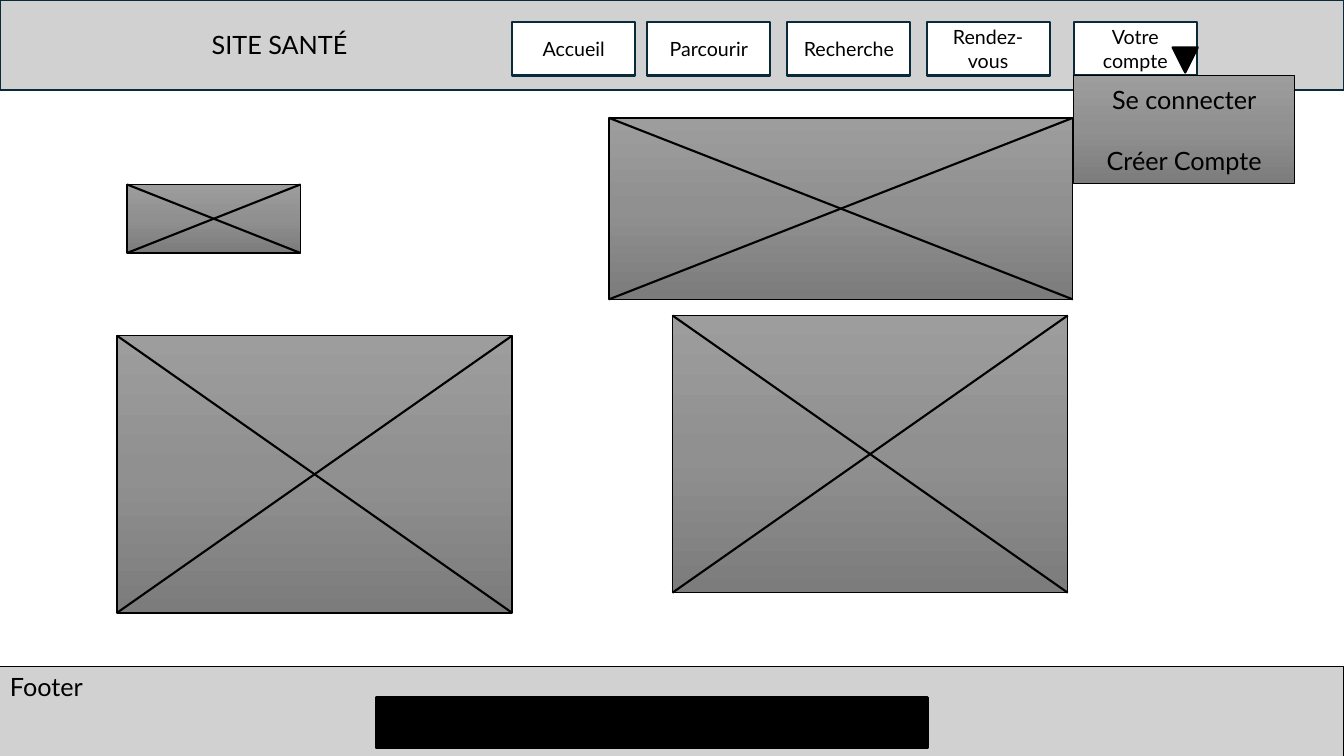
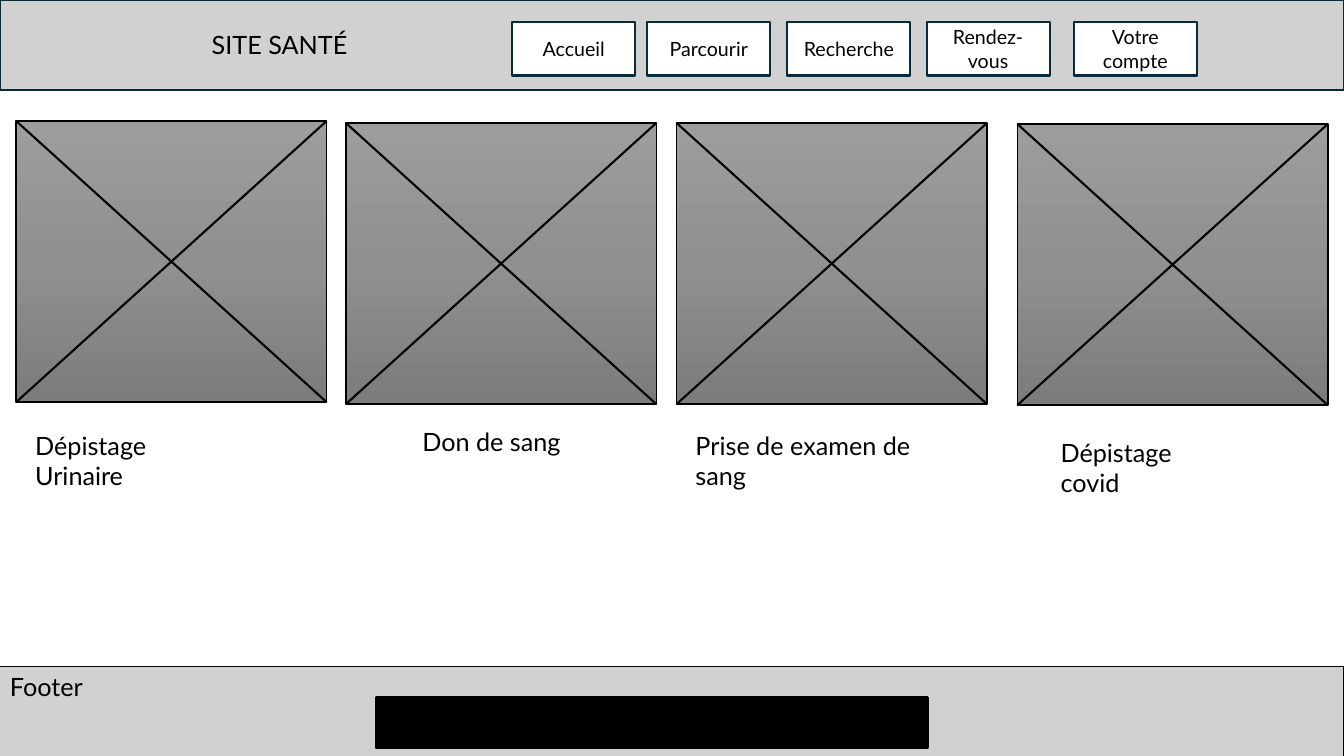
"""Build the two wireframe slides of a medical booking site."""
from copy import deepcopy

from lxml.etree import SubElement
from pptx import Presentation
from pptx.dml.color import RGBColor
from pptx.enum.shapes import MSO_CONNECTOR, MSO_SHAPE
from pptx.enum.text import MSO_ANCHOR, MSO_AUTO_SIZE, PP_ALIGN
from pptx.oxml.ns import qn
from pptx.util import Emu, Pt

SITE = "SITE SANTÉ"
NAV = [("Accueil", 508), ("Parcourir", 642), ("Recherche", 781),
       ("Rendez-vous", 919), ("Votre compte", 1065)]
ACCOUNT_MENU = ["Se connecter", "Créer Compte"]
HOME_IMAGES = [(126, 183, 172, 68), (116, 333, 392, 275),
               (667, 313, 392, 275), (604, 117, 460, 180)]
SERVICES = [
    ("Dépistage Urinaire", (16, 120), (25, 422, 218)),
    ("Don de sang", (343, 122), (409, 418, 165)),
    ("Prise de examen de sang", (671, 122), (680, 422, 284)),
    ("Dépistage covid", (1009, 123), (1042, 429, 188)),
]

PX = 9144
WIDTH, HEIGHT = 1333, 750
NAV_TOP, NAV_W, NAV_H = 22, 122, 53
SERVICE_W, SERVICE_H = 308, 279
FONT = "Lato"
BLACK, WHITE, NAVY, BAND = "000000", "FFFFFF", "092A39", "D1D1D1"
GREYS = [(0, "9D9D9D"), (0.5, "909090"), (1, "7C7C7C")]


def px(*values):
    return [Emu(v * PX) for v in values]


def rgb(color):
    return RGBColor.from_string(color)


def paint(sp, fill, line, weight):
    if fill == GREYS:
        sp.fill.gradient()
        sp.fill.gradient_angle = 270
        stops = sp._element.spPr.find(qn("a:gradFill")).find(qn("a:gsLst"))
        stops.append(deepcopy(stops[0]))
        for stop, (position, color) in zip(sp.fill.gradient_stops, GREYS):
            stop.color.rgb = rgb(color)
            stop.position = position
    else:
        sp.fill.solid()
        sp.fill.fore_color.rgb = rgb(fill)
    sp.line.color.rgb = rgb(line)
    sp.line.width = Pt(weight)


def write(sp, text, size=18, align=PP_ALIGN.LEFT, anchor=MSO_ANCHOR.TOP):
    tf = sp.text_frame
    tf.text = text
    tf.word_wrap = True
    tf.auto_size = MSO_AUTO_SIZE.NONE
    tf.vertical_anchor = anchor
    for p in tf.paragraphs:
        p.alignment = align
        for r in p.runs:
            r.font.name = FONT
            r.font.size = Pt(size)
            r.font.color.rgb = rgb(BLACK)


def add_box(s, box, fill, line=BLACK, weight=1.5, shape=MSO_SHAPE.RECTANGLE):
    sp = s.shapes.add_shape(shape, *px(*box))
    sp.shadow.inherit = False
    paint(sp, fill, line, weight)
    return sp


def add_image_frame(s, x, y, w, h):
    add_box(s, (x, y, w, h), GREYS, weight=1)
    for start, end in ((y, y + h), (y + h, y)):
        line = s.shapes.add_connector(MSO_CONNECTOR.STRAIGHT, *px(x, start, x + w, end))
        line.line.color.rgb = rgb(BLACK)
        line.line.width = Pt(1.5)
        SubElement(line._element.spPr, qn("a:effectLst"))


def add_page(prs):
    s = prs.slides.add_slide(prs.slide_layouts[5])
    title = s.shapes.title
    title.left, title.top, title.width, title.height = px(0, 0, WIDTH, 89)
    paint(title, BAND, NAVY, 1.5)
    write(title, SITE, anchor=MSO_ANCHOR.MIDDLE)
    title.text_frame.margin_left = px(210)[0]
    for label, x in NAV:
        sp = add_box(s, (x, NAV_TOP, NAV_W, NAV_H), WHITE, NAVY)
        write(sp, label, 14, PP_ALIGN.CENTER, MSO_ANCHOR.MIDDLE)
    write(add_box(s, (0, 661, WIDTH, 101), BAND, weight=0.75), "Footer")
    add_box(s, (373, 692, 547, 50), BLACK)
    return s


def build_home(prs):
    s = add_page(prs)
    for box in HOME_IMAGES:
        add_image_frame(s, *box)
    arrow = add_box(s, (1163, 47, 25, 25), BLACK, shape=MSO_SHAPE.ISOSCELES_TRIANGLE)
    arrow.rotation = 180
    menu = add_box(s, (NAV[-1][1], NAV_TOP + NAV_H, 219, 107), GREYS, weight=1)
    write(menu, "\n".join(ACCOUNT_MENU), 18, PP_ALIGN.CENTER, MSO_ANCHOR.MIDDLE)
    menu.text_frame.paragraphs[1].space_before = Pt(22)


def build_services(prs):
    s = add_page(prs)
    for label, (x, y), (left, top, width) in SERVICES:
        add_image_frame(s, x, y, SERVICE_W, SERVICE_H)
        write(s.shapes.add_textbox(*px(left, top, width, 70)), label)


def main():
    prs = Presentation()
    prs.slide_width, prs.slide_height = px(WIDTH, HEIGHT)
    build_home(prs)
    build_services(prs)
    prs.save("out.pptx")


if __name__ == "__main__":
    main()
